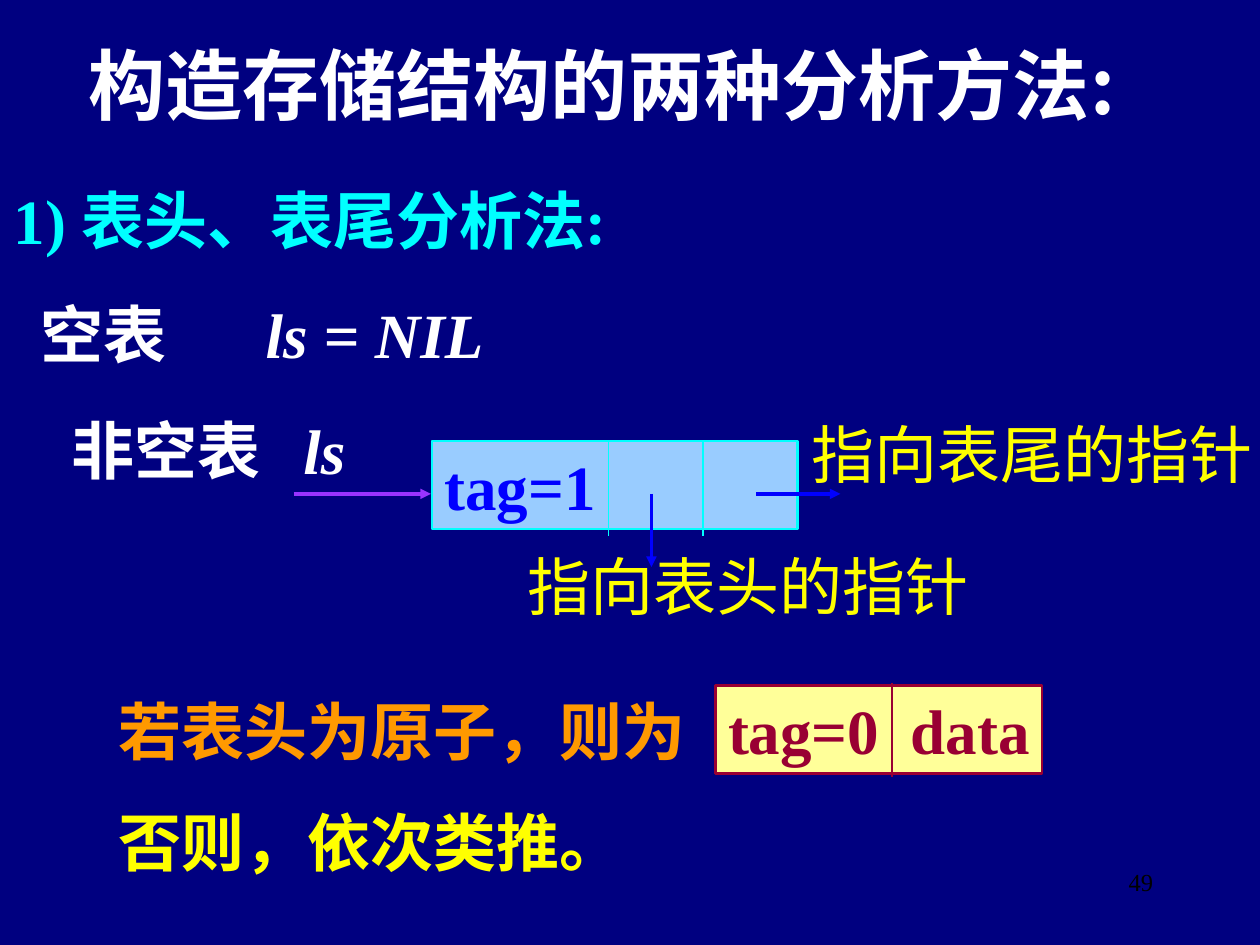
from pptx import Presentation
from pptx.dml.color import RGBColor
from pptx.enum.shapes import MSO_CONNECTOR, MSO_SHAPE
from pptx.enum.text import MSO_ANCHOR, MSO_AUTO_SIZE, PP_ALIGN
from pptx.oxml.ns import qn
from pptx.util import Inches, Pt
from lxml.etree import SubElement

NAVY = RGBColor(0x00, 0x00, 0x80)
WHITE = RGBColor(0xFF, 0xFF, 0xFF)
BLACK = RGBColor(0x00, 0x00, 0x00)
CYAN = RGBColor(0x00, 0xFF, 0xFF)
YELLOW = RGBColor(0xFF, 0xFF, 0x00)
ORANGE = RGBColor(0xFF, 0x99, 0x00)
PURPLE = RGBColor(0x99, 0x33, 0xFF)
BLUE = RGBColor(0x00, 0x00, 0xFF)
LIGHT_BLUE = RGBColor(0x99, 0xCC, 0xFF)
LIGHT_YELLOW = RGBColor(0xFF, 0xFF, 0x99)
MAROON = RGBColor(0x99, 0x00, 0x33)
SERIF = "Times New Roman"
SANS = "Noto Sans CJK SC"


def write(shape, runs, color, face=SERIF, size=36, bold=True, tab=None, spacing=None):
    frame = shape.text_frame
    frame.word_wrap = False
    frame.auto_size = MSO_AUTO_SIZE.SHAPE_TO_FIT_TEXT
    frame.vertical_anchor = MSO_ANCHOR.TOP
    line = frame.paragraphs[0]
    line.alignment = PP_ALIGN.LEFT
    if spacing:
        line.line_spacing = spacing
    if tab:
        stops = SubElement(line._p.get_or_add_pPr(), qn("a:tabLst"))
        SubElement(stops, qn("a:tab"), pos=str(Inches(tab)), algn="l")
    line.font.name = face
    line.font.size = Pt(size)
    line.font.bold = bold
    line.font.color.rgb = color
    for text, italic in runs:
        run = line.add_run()
        run.text = text
        if italic:
            run.font.italic = True
    return line


def draw_line(x1, y1, x2, y2, color, width, arrow=False):
    line = slide.shapes.add_connector(
        MSO_CONNECTOR.STRAIGHT, Inches(x1), Inches(y1), Inches(x2), Inches(y2))
    line.line.color.rgb = color
    line.line.width = Pt(width)
    if arrow:
        SubElement(line.line._get_or_add_ln(), qn("a:tailEnd"), type="triangle")
    SubElement(line._element.spPr, qn("a:effectLst"))


deck = Presentation()
deck.slide_width = Inches(10)
deck.slide_height = Inches(7.5)
slide = deck.slides.add_slide(deck.slide_layouts[5])
slide.background.fill.solid()
slide.background.fill.fore_color.rgb = NAVY

title = slide.shapes.title
title.left, title.top = Inches(0.6), Inches(0.25)
title.width, title.height = Inches(8.6), Inches(0.84)
write(title, [("构造存储结构的两种分析方法:", False)], WHITE, SANS, 44)

labels = [
    (0.01, 1.33, 5.14, 0.76, [("1) 表头、表尾分析法:", False)], CYAN, {"spacing": 1.1}),
    (0.22, 2.3, 4.55, 0.7, [("空表\t", False), ("ls = NIL", True)], WHITE, {"tab": 1.79}),
    (0.47, 3.22, 2.65, 0.7, [("非空表\t", False), ("ls", True)], WHITE, {"tab": 1.84}),
    (0.84, 5.39, 4.7, 0.76, [("若表头为原子，则为", False)], ORANGE,
     {"face": SANS, "spacing": 1.1}),
    (0.84, 6.33, 4.2, 0.7, [("否则，依次类推。", False)], YELLOW, {"face": SANS}),
    (4.09, 4.3, 3.7, 0.7, [("指向表头的指针", False)], YELLOW, {"bold": False}),
    (6.34, 3.25, 3.7, 0.7, [("指向表尾的指针", False)], YELLOW, {"bold": False}),
]
for x, y, w, h, runs, color, style in labels:
    label = slide.shapes.add_textbox(Inches(x), Inches(y), Inches(w), Inches(h))
    write(label, runs, color, **style)

nodes = [
    (3.43, 3.5, 2.9, "tag=1", LIGHT_BLUE, CYAN, BLUE, None, 3.5, [4.83, 5.58]),
    (5.68, 5.44, 2.59, "tag=0\tdata", LIGHT_YELLOW, MAROON, MAROON, 1.45, 5.42, [7.08]),
]
for x, y, w, text, fill, border, ink, tab, divider_top, dividers in nodes:
    node = slide.shapes.add_shape(
        MSO_SHAPE.RECTANGLE, Inches(x), Inches(y), Inches(w), Inches(0.7))
    node.shadow.inherit = False
    node.fill.solid()
    node.fill.fore_color.rgb = fill
    node.line.color.rgb = border
    node.line.width = Pt(1.5)
    write(node, [(text, False)], ink, tab=tab)
    node.text_frame.word_wrap = True
    node.text_frame.margin_right = Inches(0)
    for divider in dividers:
        draw_line(divider, divider_top, divider, divider_top + 0.75, border, 0.75)

draw_line(2.33, 3.92, 3.42, 3.92, PURPLE, 2, arrow=True)
draw_line(5.17, 3.92, 5.17, 4.5, BLUE, 2, arrow=True)
draw_line(6, 3.92, 6.67, 3.92, BLUE, 2, arrow=True)

page_number = slide.shapes.add_textbox(Inches(7.17), Inches(6.83), Inches(2.08), Inches(0.5))
number_line = write(page_number, [("49", False)], BLACK, size=14, bold=False)
number_line.alignment = PP_ALIGN.RIGHT
page_number.text_frame.word_wrap = True
page_number.text_frame.auto_size = MSO_AUTO_SIZE.NONE

deck.save("out.pptx")
